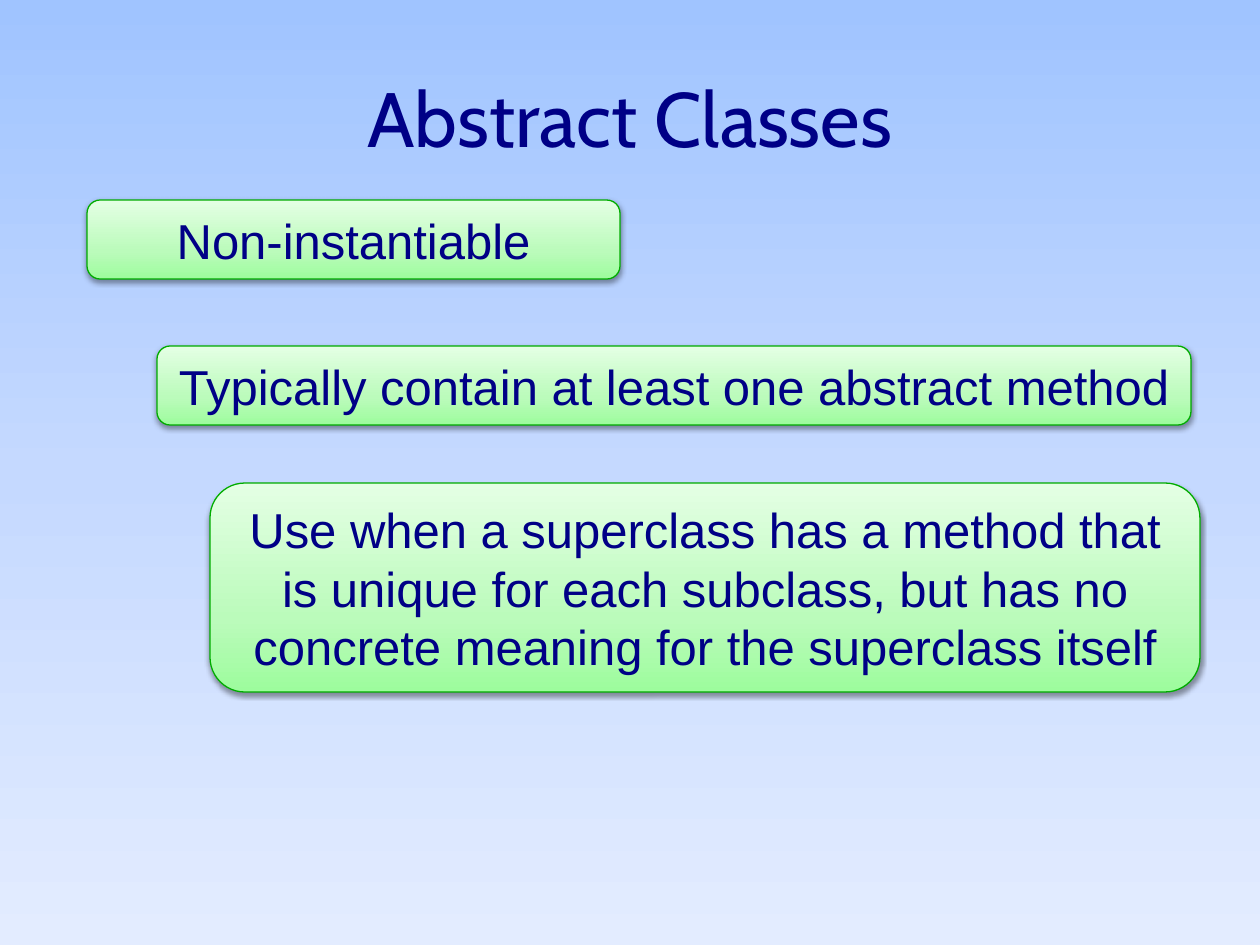
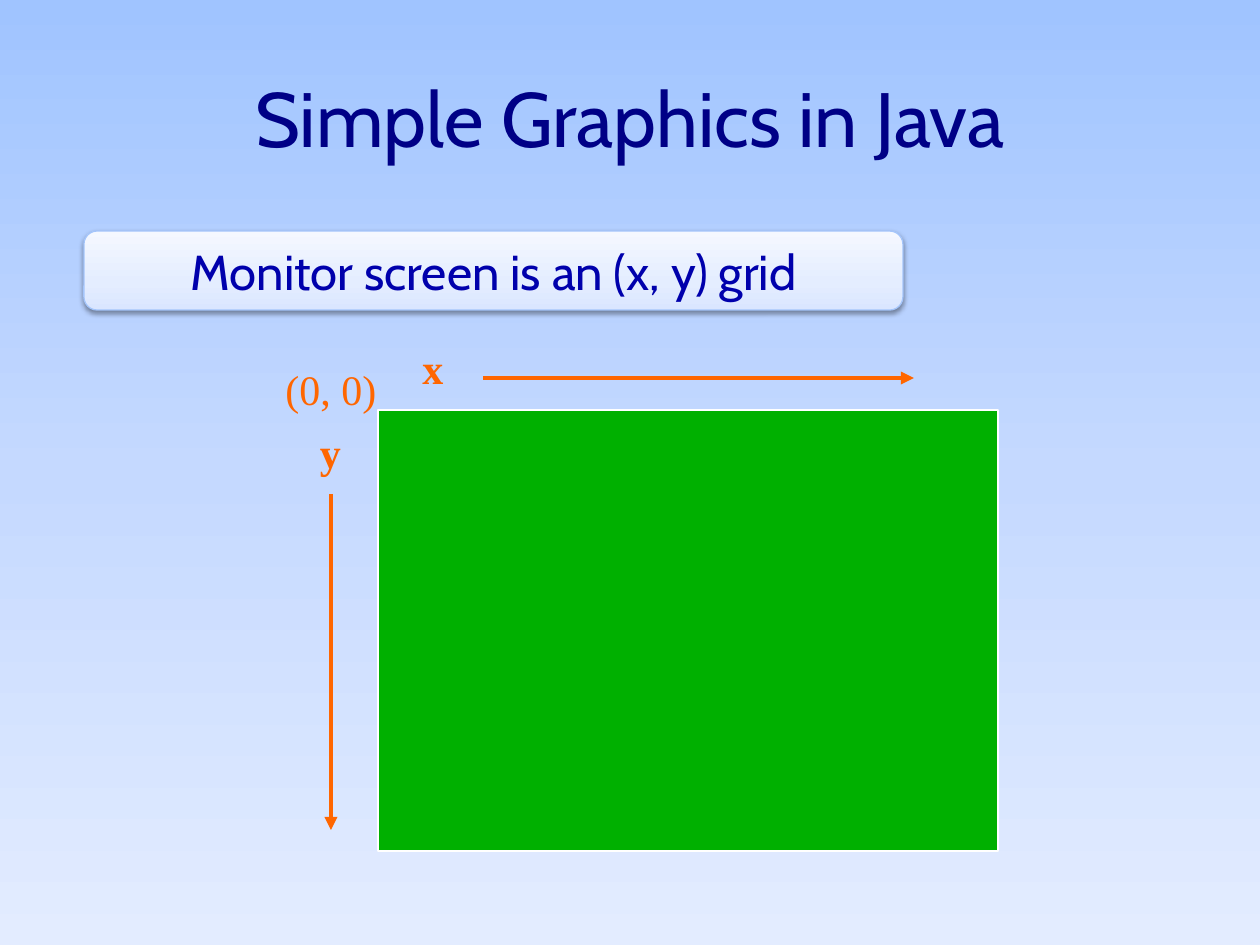
from lxml import etree
from pptx import Presentation, util as u
from pptx.dml.color import RGBColor
from pptx.enum import shapes, text
from pptx.oxml.ns import qn

PX = 914400 / 126  # EMU in one pixel
TITLE_COLOR, AXIS_COLOR = "000086", "FF6600"
TITLE_FONT, BODY_FONT, AXIS_FONT = "Cabin", "Arial", "Times New Roman"
SKY = [(0, "A0C4FF"), (50, "C5D9FF"), (100, "E3ECFF")]
# Callout styles: gradient stops, outline, text colour, font
GREEN = ([(0, "9DFC9D"), (35, "BBFBBB"), (100, "E4FFE4")], "00AC00", "000086", BODY_FONT)
BLUE = ([(0, "DAE6FF"), (35, "E4EDFF"), (100, "F5F8FF")], "A4C5FB", "0000AC", TITLE_FONT)


def px(*lengths):
    return [u.Emu(round(n * PX)) for n in lengths]


def rgb(color):
    return RGBColor.from_string(color)


def add(parent, tag, **attrs):
    return etree.SubElement(parent, qn(tag), {k: str(v) for k, v in attrs.items()})


def gradient(fill, element, stops, angle):
    """Give a fill its linear gradient, angle clockwise from left to right."""
    fill.gradient()
    grad = element.find(".//" + qn("a:gradFill"))
    for child in list(grad):
        grad.remove(child)
    gs_list = add(grad, "a:gsLst")
    for pos, color in stops:
        add(add(gs_list, "a:gs", pos=pos * 1000), "a:srgbClr", val=color)
    add(grad, "a:lin", ang=angle * 60000, scaled=0)


def drop_shadow(sp):
    sp.shadow.inherit = False
    effects = sp._element.spPr.find(qn("a:effectLst"))
    shadow = add(effects, "a:outerShdw", blurRad=u.Pt(3.1), dist=u.Pt(1.6),
                 dir=90 * 60000, rotWithShape=0)
    add(add(shadow, "a:srgbClr", val="000000"), "a:alpha", val=38000)


def write(tf, words, font, size, color, bold=False, align=text.PP_ALIGN.CENTER, before=0):
    p = tf.paragraphs[0]
    p.alignment = align
    p.space_before = u.Pt(before)
    r = p.add_run()
    r.text = words
    r.font.name, r.font.size, r.font.bold = font, u.Pt(size), bold
    r.font.color.rgb = rgb(color)


def add_slide(prs, title):
    s = prs.slides.add_slide(prs.slide_layouts[5])
    sp = s.shapes.title
    sp.left, sp.top, sp.width, sp.height = px(63, 38, 1134, 157)
    sp.text_frame.vertical_anchor = text.MSO_ANCHOR.MIDDLE
    write(sp.text_frame, title, TITLE_FONT, 44, TITLE_COLOR)
    return s


def add_callout(s, box, words, style):
    stops, outline, color, font = style
    sp = s.shapes.add_shape(shapes.MSO_SHAPE.ROUNDED_RECTANGLE, *px(*box))
    gradient(sp.fill, sp._element, stops, 270)
    sp.line.color.rgb = rgb(outline)
    sp.line.width = u.Pt(0.75)
    drop_shadow(sp)
    tf = sp.text_frame
    tf.word_wrap = True
    tf.vertical_anchor = text.MSO_ANCHOR.MIDDLE
    write(tf, words, font, 28, color)


def add_arrow(group, *ends):
    line = group.shapes.add_connector(shapes.MSO_CONNECTOR.STRAIGHT, *px(*ends))
    line.line.color.rgb = rgb(AXIS_COLOR)
    line.line.width = u.Pt(2.5)
    add(line.line._get_or_add_ln(), "a:tailEnd", type="triangle")
    add(line._element.spPr, "a:effectLst")


def add_label(group, box, words, bold=True, align=text.PP_ALIGN.LEFT):
    tf = group.shapes.add_textbox(*px(*box)).text_frame
    tf.word_wrap = True
    write(tf, words, AXIS_FONT, 24, AXIS_COLOR, bold, align, before=3)


def add_screen_grid(s):
    group = s.shapes.add_group_shape()
    # Screen
    sp = group.shapes.add_shape(shapes.MSO_SHAPE.RECTANGLE, *px(378, 410, 620, 441))
    sp.shadow.inherit = False
    sp.fill.solid()
    sp.fill.fore_color.rgb = rgb("00B000")
    sp.line.color.rgb = rgb("FFFFFF")
    sp.line.width = u.Pt(0.75)
    # Axes
    add_arrow(group, 483, 378, 914, 378)
    add_arrow(group, 331, 494, 331, 830)
    add_label(group, (410, 336, 53, 63), "x")
    add_label(group, (304, 420, 53, 63), "y", align=text.PP_ALIGN.CENTER)
    add_label(group, (273, 357, 136, 63), "(0, 0)", bold=False)


def main():
    prs = Presentation()
    prs.slide_width, prs.slide_height = px(1260, 945)
    master = prs.slide_master
    gradient(master.background.fill, master.element, SKY, 90)

    # Abstract classes
    s = add_slide(prs, "Abstract Classes")
    add_callout(s, (87, 200, 533, 79), "Non-instantiable", GREEN)
    add_callout(s, (157, 346, 1034, 79), "Typically contain at least one abstract method", GREEN)
    add_callout(s, (210, 483, 990, 209),
                "Use when a superclass has a method that is unique for each subclass, "
                "but has no concrete meaning for the superclass itself", GREEN)

    # Screen coordinates
    s = add_slide(prs, "Simple Graphics in Java")
    add_screen_grid(s)
    add_callout(s, (84, 231, 819, 79), "Monitor screen is an (x, y) grid", BLUE)

    prs.save("out.pptx")


main()
